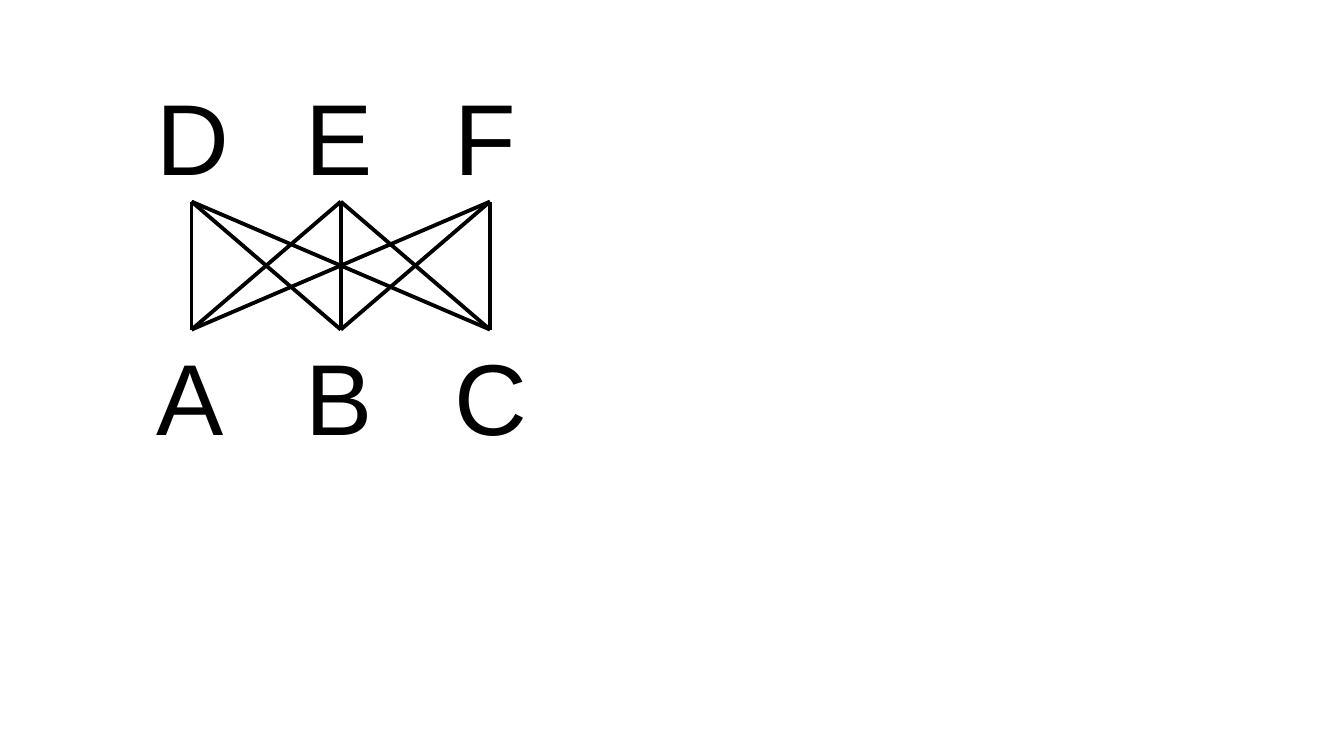
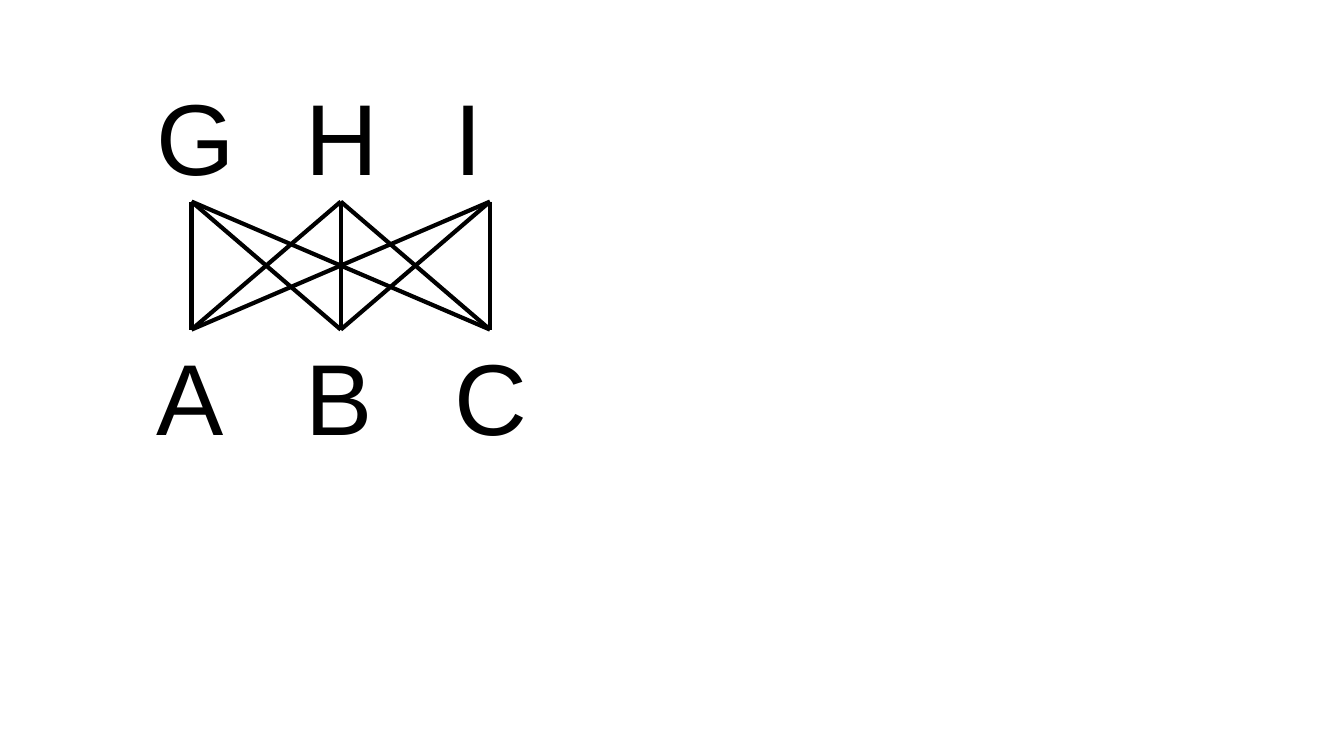
from dataclasses import dataclass
from itertools import product

from pptx import Presentation
from pptx import util as u
from pptx.dml.color import RGBColor
from pptx.enum import shapes, text
from pptx.oxml.ns import qn
from pptx.shapes.shapetree import GroupShapes
from lxml import etree

# Shared style and layout
INK = "000000"
FONT = "Arial"
LABEL_SIZE = 72
LABEL_WIDTH, LABEL_HEIGHT = 0.91, 1.31
UPPER_LABEL_TOP, LOWER_LABEL_TOP = 0.69, 3.27
UPPER_NODE_Y, LOWER_NODE_Y = 2.0, 3.27
FIRST_LABEL_LEFT, FIRST_NODE_X = 1.45, 1.9
COLUMN_STEP = 1.48


@dataclass(frozen=True)
class BipartiteGraph:
    upper: str
    lower: str
    edge_width: float


GRAPHS = [
    BipartiteGraph(upper="DEF", lower="ABC", edge_width=2.75),
    BipartiteGraph(upper="GHI", lower="ABC", edge_width=3),
]


def color(value: str) -> RGBColor:
    return RGBColor.from_string(value)


def add_text(parent: GroupShapes, content: str, left: float, top: float, *,
             width: float = LABEL_WIDTH, height: float = LABEL_HEIGHT,
             size: float = LABEL_SIZE, font: str = FONT, ink: str = INK) -> None:
    label = parent.add_textbox(*map(u.Inches, (left, top, width, height)))
    frame = label.text_frame
    frame.word_wrap = True
    frame.auto_size = text.MSO_AUTO_SIZE.SHAPE_TO_FIT_TEXT
    run = frame.paragraphs[0].add_run()
    run.text = content
    run.font.size = u.Pt(size)
    run.font.name = font
    run.font.color.rgb = color(ink)


def add_edge(parent: GroupShapes, start_x: float, end_x: float, width: float) -> None:
    ends = (start_x, UPPER_NODE_Y, end_x, LOWER_NODE_Y)
    edge = parent.add_connector(shapes.MSO_CONNECTOR.STRAIGHT, *map(u.Inches, ends))
    edge.line.color.rgb = color(INK)
    edge.line.width = u.Pt(width)
    etree.SubElement(edge.element.spPr, qn("a:effectLst"))


def draw_graph(parent: GroupShapes, graph: BipartiteGraph) -> None:
    # Node labels
    for letters, top in ((graph.lower, LOWER_LABEL_TOP), (graph.upper, UPPER_LABEL_TOP)):
        for column, letter in enumerate(letters):
            add_text(parent, letter, FIRST_LABEL_LEFT + column * COLUMN_STEP, top)

    # Every upper node joins every lower node
    for start, end in product(range(len(graph.upper)), range(len(graph.lower))):
        add_edge(parent, FIRST_NODE_X + start * COLUMN_STEP,
                 FIRST_NODE_X + end * COLUMN_STEP, graph.edge_width)


# Slides
deck = Presentation()
deck.slide_width, deck.slide_height = u.Inches(13.33), u.Inches(7.5)
blank = deck.slide_layouts[6]
for graph in GRAPHS:
    slide = deck.slides.add_slide(blank)
    draw_graph(slide.shapes.add_group_shape().shapes, graph)

deck.save("out.pptx")
